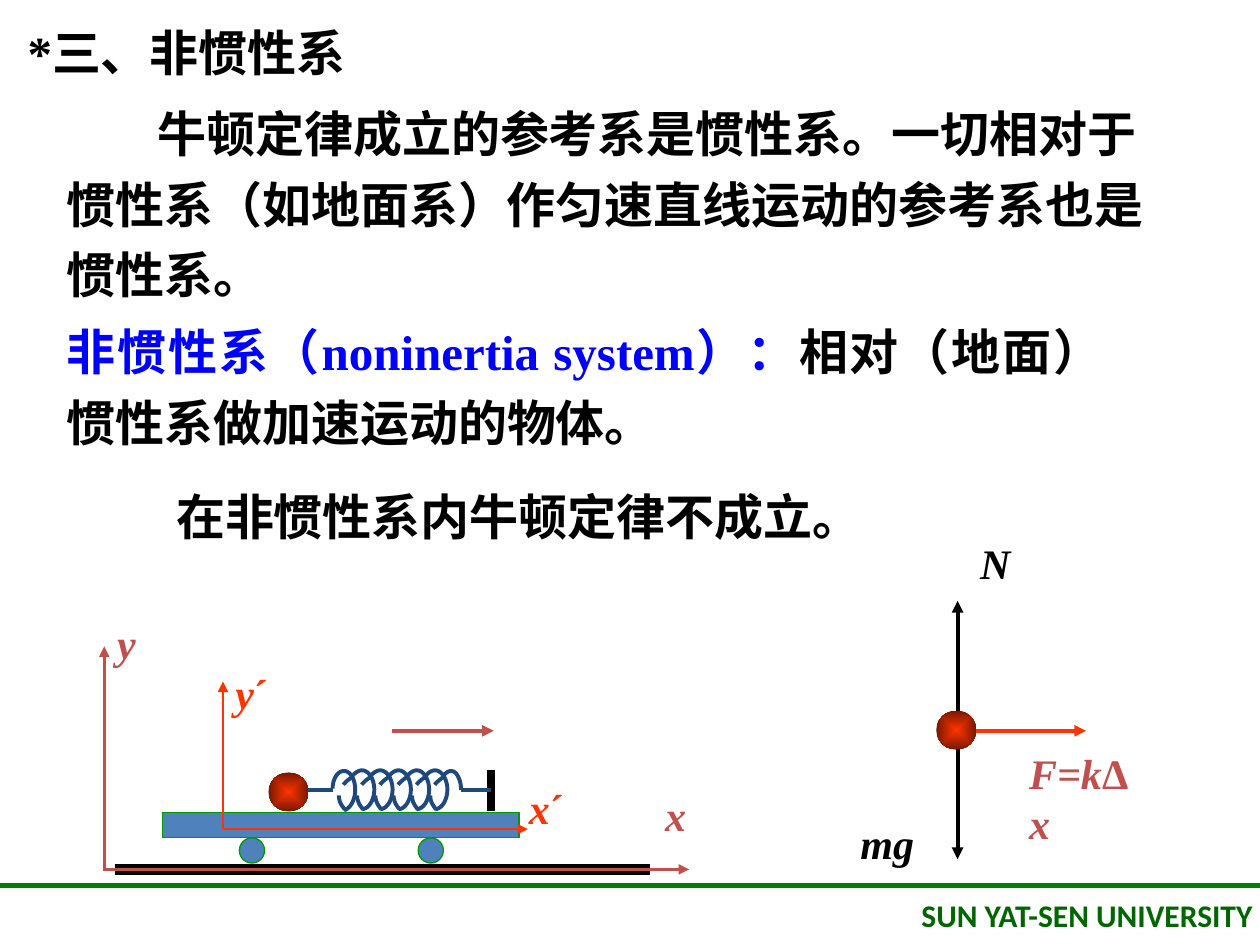
from lxml.etree import SubElement
from pptx import Presentation
from pptx.dml.color import RGBColor
from pptx.enum.dml import MSO_LINE
from pptx.enum.shapes import MSO_CONNECTOR, MSO_SHAPE
from pptx.enum.text import MSO_ANCHOR, MSO_AUTO_SIZE, PP_ALIGN
from pptx.oxml.ns import qn
from pptx.util import Pt

"""Slide on non-inertial frames: definitions, a spring on a cart and its force diagram."""

BLACK = RGBColor(0x00, 0x00, 0x00)
BLUE = RGBColor(0x00, 0x00, 0xFF)
RED = RGBColor(0xC0, 0x50, 0x4D)
ORANGE = RGBColor(0xFF, 0x33, 0x00)
DARK_RED = RGBColor(0x76, 0x18, 0x00)
NAVY = RGBColor(0x1F, 0x49, 0x7D)
CART_BLUE = RGBColor(0x4F, 0x81, 0xBD)
CART_GREEN = RGBColor(0x00, 0x99, 0x00)
RULE_GREEN = RGBColor(0x00, 0x80, 0x00)
FOOTER_GREEN = RGBColor(0x00, 0x66, 0x00)
SERIF = "Times New Roman"

TITLE = "*三、非惯性系"
TITLE_BOX = (8.6, 9.4, 442, 41)
BODY = [
    ((31, 49, 652.3, 128), PP_ALIGN.LEFT, 1.2, 52,
     [("牛顿定律成立的参考系是惯性系。一切相对于惯性系（如地面系）作匀速直线运动的参考系也是惯性系。", BLACK)]),
    ((31, 173.5, 606.2, 88), PP_ALIGN.JUSTIFY, 1.2, 0,
     [("非惯性系（noninertia system）：", BLUE), ("相对（地面）惯性系做加速运动的物体。", BLACK)]),
    ((93.6, 274.3, 471, 41), PP_ALIGN.LEFT, 1.0, 0,
     [("在非惯性系内牛顿定律不成立。", BLACK)]),
]
FOOTER = "SUN YAT-SEN UNIVERSITY"
FOOTER_BOX = (456.5, 508.3, 266.4, 29)

LABELS = [
    ((373, 447.8, 26.6, 36), [("x", True)], RED, False),
    ((59.8, 349.2, 25.2, 36), [("y", True)], RED, False),
    ((127.4, 378, 37.4, 36), [("y", True), ("´", False)], ORANGE, False),
    ((295.2, 443.5, 38.9, 36), [("x", True), ("´", False)], ORANGE, False),
    ((484.6, 463.7, 45.4, 36), [("mg", True)], BLACK, False),
    ((581, 423.4, 82.5, 65), [("F=k", True), ("Δ", False), ("x", True)], RED, True),
    ((553, 303.8, 31.7, 36), [("N", True)], BLACK, False),
]

CART = [
    (MSO_SHAPE.RECTANGLE, (92.9, 464.4, 203.8, 14.4)),
    (MSO_SHAPE.OVAL, (136.8, 478.8, 14.4, 14.4)),
    (MSO_SHAPE.OVAL, (239, 478.8, 14.4, 14.4)),
]
LINES = [
    ((0, 506.2), (720, 506.2), RULE_GREEN, 3, False),
    ((65.5, 496.8), (371.5, 496.8), BLACK, 6, False),
    ((223.9, 417.6), (282.2, 417.6), RED, 2.25, True),
    ((59.6, 497.5), (59.6, 369.4), RED, 1.5, True),
    ((59.6, 496.8), (393.8, 496.8), RED, 1.5, True),
    ((127.4, 473.8), (127.4, 389.5), ORANGE, 1.5, True),
    ((127.4, 473.8), (301.7, 473.8), ORANGE, 1.5, True),
    ((280.8, 439.9), (280.8, 463.7), BLACK, 4.5, False),
    ((172.8, 451.4), (190.1, 451.4), NAVY, 2.25, False),
    ((263.5, 451.4), (280.8, 451.4), NAVY, 2.25, False),
    ((547.2, 427), (547.2, 491), BLACK, 2.25, True),
    ((547.2, 412.6), (547.2, 343.4), BLACK, 2.25, True),
    ((553, 417.6), (620.6, 417.6), ORANGE, 2.25, True),
]
BALLS = [(153.4, 441.4), (535, 406.1)]
BALL_SIZE = (23, 22.3)

COIL_PITCH = 10.44
COIL_COUNT = 6
COIL_START = [(190.1, 450.7), (190.1, 445), (193, 440.6), (196.6, 440.6), (200, 440.6),
              (203, 445), (203, 451.4), (203, 457.2), (200, 462.4), (196.6, 463)]
COIL_FRONT = [(190.4, 444.2), (191.9, 442), (194.2, 440.2), (196.5, 440.2), (200.1, 440.2),
              (203.5, 445), (203.5, 451.2), (203.5, 457.4), (200.1, 462.4), (196.5, 462.4)]
COIL_BACK = [(197.1, 462.6), (195, 460.2), (193.7, 457.7), (193.7, 455),
             (193.7, 450.7), (196.7, 447), (201.4, 444)]
COIL_END = [(252.9, 444.2), (254.2, 442), (255.8, 440.6), (258, 440.6),
            (261, 440.6), (263.5, 445.7), (263.5, 451.4)]


def add_text(s, box, runs, size, name=SERIF, wrap=True):
    tf = s.shapes.add_textbox(*map(Pt, box)).text_frame
    tf.word_wrap = wrap
    p = tf.paragraphs[0]
    for text, color, italic in runs:
        r = p.add_run()
        r.text = text
        r.font.color.rgb = color
        r.font.italic = italic
    p.font.name, p.font.size, p.font.bold = name, Pt(size), True
    return p


def add_line(s, start, end, color, width, arrow):
    c = s.shapes.add_connector(MSO_CONNECTOR.STRAIGHT, *map(Pt, start + end))
    c.line.color.rgb = color
    c.line.width = Pt(width)
    if arrow:
        SubElement(c.line._get_or_add_ln(), qn("a:tailEnd"), type="triangle")
    SubElement(c._element.spPr, qn("a:effectLst"))


def bezier(points, steps=10):
    curve = [points[0]]
    for k in range(0, len(points) - 1, 3):
        quad = points[k:k + 4]
        for t in (n / steps for n in range(1, steps + 1)):
            weights = ((1 - t) ** 3, 3 * t * (1 - t) ** 2, 3 * t * t * (1 - t), t ** 3)
            curve.append(tuple(sum(w * q[axis] for w, q in zip(weights, quad)) for axis in (0, 1)))
    return curve


def add_coil(s, points, turn=0, dashed=False):
    curve = [((x + turn * COIL_PITCH) * 100, y * 100) for x, y in bezier(points)]
    builder = s.shapes.build_freeform(*curve[0], scale=Pt(1) / 100)
    builder.add_line_segments(curve[1:], close=False)
    sp = builder.convert_to_shape()
    sp.shadow.inherit = False
    sp.fill.background()
    sp.line.color.rgb = NAVY
    sp.line.width = Pt(2.25)
    if dashed:
        sp.line.dash_style = MSO_LINE.DASH


def add_ball(s, corner):
    sp = s.shapes.add_shape(MSO_SHAPE.OVAL, *map(Pt, corner + BALL_SIZE))
    sp.shadow.inherit = False
    sp.line.fill.background()
    sp.fill.gradient()
    for stop, color in zip(sp.fill.gradient_stops, (ORANGE, DARK_RED)):
        stop.color.rgb = color
    grad = sp._element.spPr.find(qn("a:gradFill"))
    grad.remove(grad.find(qn("a:lin")))
    shade = SubElement(grad, qn("a:path"), path="shape")
    SubElement(shade, qn("a:fillToRect"), l="50000", t="50000", r="50000", b="50000")


def add_title(s):
    sp = s.shapes.title
    sp.left, sp.top, sp.width, sp.height = map(Pt, TITLE_BOX)
    tf = sp.text_frame
    tf.text = TITLE
    tf.auto_size = MSO_AUTO_SIZE.NONE
    tf.vertical_anchor = MSO_ANCHOR.TOP
    p = tf.paragraphs[0]
    p.alignment = PP_ALIGN.LEFT
    p.font.name, p.font.size, p.font.bold = SERIF, Pt(28), True
    p.font.color.rgb = BLACK


def main():
    prs = Presentation()
    prs.slide_width, prs.slide_height = Pt(720), Pt(540)
    s = prs.slides.add_slide(prs.slide_layouts[5])
    add_title(s)
    for box, align, spacing, indent, runs in BODY:
        p = add_text(s, box, [(text, color, False) for text, color in runs], 28)
        p.alignment = align
        p.line_spacing = spacing
        p._p.get_or_add_pPr().set("indent", str(Pt(indent)))
    p = add_text(s, FOOTER_BOX, [(FOOTER, FOOTER_GREEN, False)], 18, "Calibri")
    p.alignment = PP_ALIGN.RIGHT

    for kind, box in CART:
        sp = s.shapes.add_shape(kind, *map(Pt, box))
        sp.shadow.inherit = False
        sp.fill.solid()
        sp.fill.fore_color.rgb = CART_BLUE
        sp.line.color.rgb = CART_GREEN
        sp.line.width = Pt(0.75)
    for line in LINES:
        add_line(s, *line)
    for turn in range(COIL_COUNT):
        add_coil(s, COIL_FRONT if turn else COIL_START, turn)
        add_coil(s, COIL_BACK, turn, dashed=True)
    add_coil(s, COIL_END)
    for corner in BALLS:
        add_ball(s, corner)
    for box, parts, color, wrap in LABELS:
        add_text(s, box, [(text, color, italic) for text, italic in parts], 24, wrap=wrap)
    prs.save("out.pptx")


if __name__ == "__main__":
    main()
